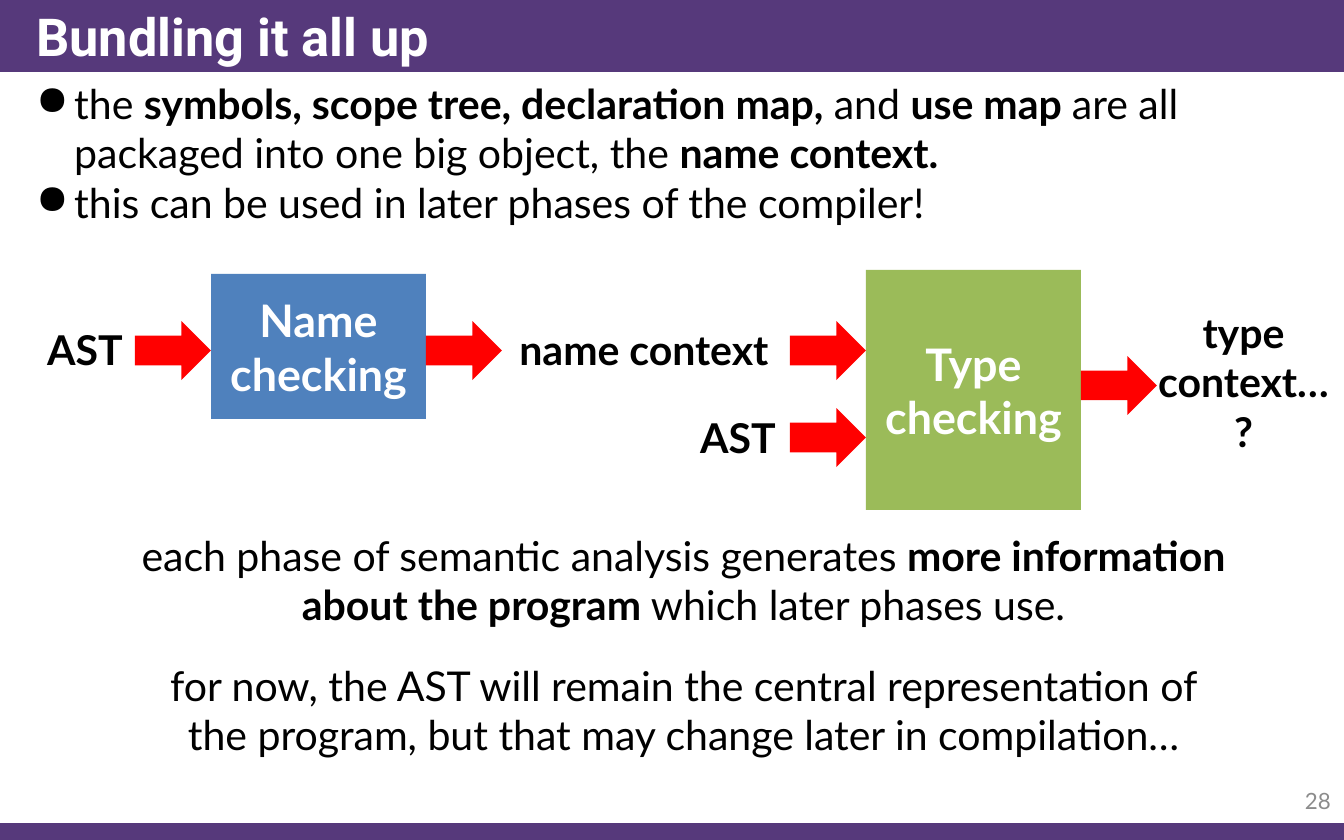
from lxml import etree
from pptx import Presentation
from pptx.dml.color import RGBColor
from pptx.enum.shapes import MSO_SHAPE
from pptx.enum.text import MSO_ANCHOR, MSO_AUTO_SIZE, PP_ALIGN
from pptx.oxml.ns import qn
from pptx.util import Pt

RECT, ARROW = MSO_SHAPE.RECTANGLE, MSO_SHAPE.RIGHT_ARROW
TOP, MIDDLE = MSO_ANCHOR.TOP, MSO_ANCHOR.MIDDLE
LEFT, CENTER, RIGHT = PP_ALIGN.LEFT, PP_ALIGN.CENTER, PP_ALIGN.RIGHT
NO_AUTOFIT = MSO_AUTO_SIZE.NONE

WIDTH, HEIGHT = 1344, 840
EMU_PER_PX = 9144000 / WIDTH
PURPLE, BLUE, GREEN, RED = "56397B", "4F81BD", "9BBB59", "FF0000"
WHITE, BLACK, GRAY = "FFFFFF", "000000", "8C8C8C"
ARROW_W, ARROW_H = 76, 59
BULLET_INDENT = 38


def px(n):
    return round(n * EMU_PER_PX)


def rgb(value):
    return RGBColor.from_string(value)


def place(sp, box):
    for name, n in zip(("left", "top", "width", "height"), box):
        setattr(sp, name, px(n))


def add_bullet(p):
    pPr = p._p.get_or_add_pPr()
    pPr.set("marL", str(px(BULLET_INDENT)))
    pPr.set("indent", str(-px(BULLET_INDENT)))
    etree.SubElement(pPr, qn("a:buChar")).set("char", "●")


def write(sp, paragraphs, size=22, color=BLACK, font="Lato", align=CENTER,
          anchor=TOP, bullets=False):
    """Fill a shape with text; ** switches bold on and off."""
    tf = sp.text_frame
    frame_format = {"word_wrap": True, "auto_size": NO_AUTOFIT,
                    "vertical_anchor": anchor}
    for name, value in frame_format.items():
        setattr(tf, name, value)
    for i, text in enumerate(paragraphs):
        p = tf.add_paragraph() if i else tf.paragraphs[0]
        p.alignment = align
        if bullets:
            add_bullet(p)
        for j, part in enumerate(text.split("**")):
            if not part:
                continue
            r = p.add_run()
            r.text = part
            run_format = {"name": font, "size": Pt(size), "bold": j % 2 == 1}
            for name, value in run_format.items():
                setattr(r.font, name, value)
            r.font.color.rgb = rgb(color)


def add_text(s, box, *paragraphs, **text_format):
    sp = s.shapes.add_textbox(*map(px, box))
    write(sp, paragraphs, **text_format)


def add_filled(s, kind, box, fill):
    sp = s.shapes.add_shape(kind, *map(px, box))
    sp.shadow.inherit = False
    sp.fill.solid()
    sp.fill.fore_color.rgb = rgb(fill)
    sp.line.fill.background()
    return sp


def add_header(s, box):
    x, y, w, h = box
    bar = add_filled(s, RECT, box, PURPLE)
    title = s.shapes.title
    bar._element.addnext(title._element)
    place(title, (x + 23, y, w - 23, h))
    write(title, ["**Bundling it all up**"], size=28, color=WHITE,
          font="Roboto", align=LEFT, anchor=MIDDLE)


def add_footer(s, box):
    x, y, w, h = box
    add_filled(s, RECT, box, PURPLE)
    add_text(s, (x + w - 101, y - 45, 101, 45), "28", size=12, color=GRAY,
             align=RIGHT, anchor=MIDDLE)


def add_phase_diagram(s, box):
    x, y, w, h = box
    block_w, name_x, type_x = 215, 211, 866
    blocks = [("Name checking", name_x, 4, 145, BLUE),
              ("Type checking", type_x, 0, h, GREEN)]
    for text, left, top, height, fill in blocks:
        sp = add_filled(s, RECT, (x + left, y + top, block_w, height), fill)
        write(sp, [f"**{text}**"], size=24, color=WHITE, anchor=MIDDLE)

    arrows = [(name_x - ARROW_W, 51), (name_x + block_w, 51),
              (type_x - ARROW_W, 51), (type_x - ARROW_W, 138),
              (type_x + block_w, 86)]
    for left, top in arrows:
        add_filled(s, ARROW, (x + left, y + top, ARROW_W, ARROW_H), RED)

    labels = [("AST", 28, 48, 114, 63), ("name context", 493, 48, 302, 63),
              ("AST", 681, 136, 114, 63),
              ("type context…?", w - 200, 31, 199, 163)]
    for text, left, top, width, height in labels:
        add_text(s, (x + left, y + top, width, height), f"**{text}**")


def main():
    prs = Presentation()
    prs.slide_width, prs.slide_height = px(WIDTH), px(HEIGHT)
    s = prs.slides.add_slide(prs.slide_layouts[5])
    add_header(s, (0, 0, WIDTH, 72))
    add_footer(s, (0, 823, WIDTH, 17))
    add_text(s, (23, 72, 1321, 179),
             "the **symbols, scope tree, declaration map, **and **use map **"
             "are all packaged into one big object, the **name context.**",
             "this can be used in later phases of the compiler!",
             align=LEFT, bullets=True)
    add_phase_diagram(s, (0, 270, WIDTH, 240))
    add_text(s, (98, 524, 1171, 113),
             "each phase of semantic analysis generates **more information "
             "about the program** which later phases use.")
    add_text(s, (143, 654, 1081, 113),
             "for now, the AST will remain the central representation of the "
             "program, but that may change later in compilation…")
    prs.save("out.pptx")


if __name__ == "__main__":
    main()
